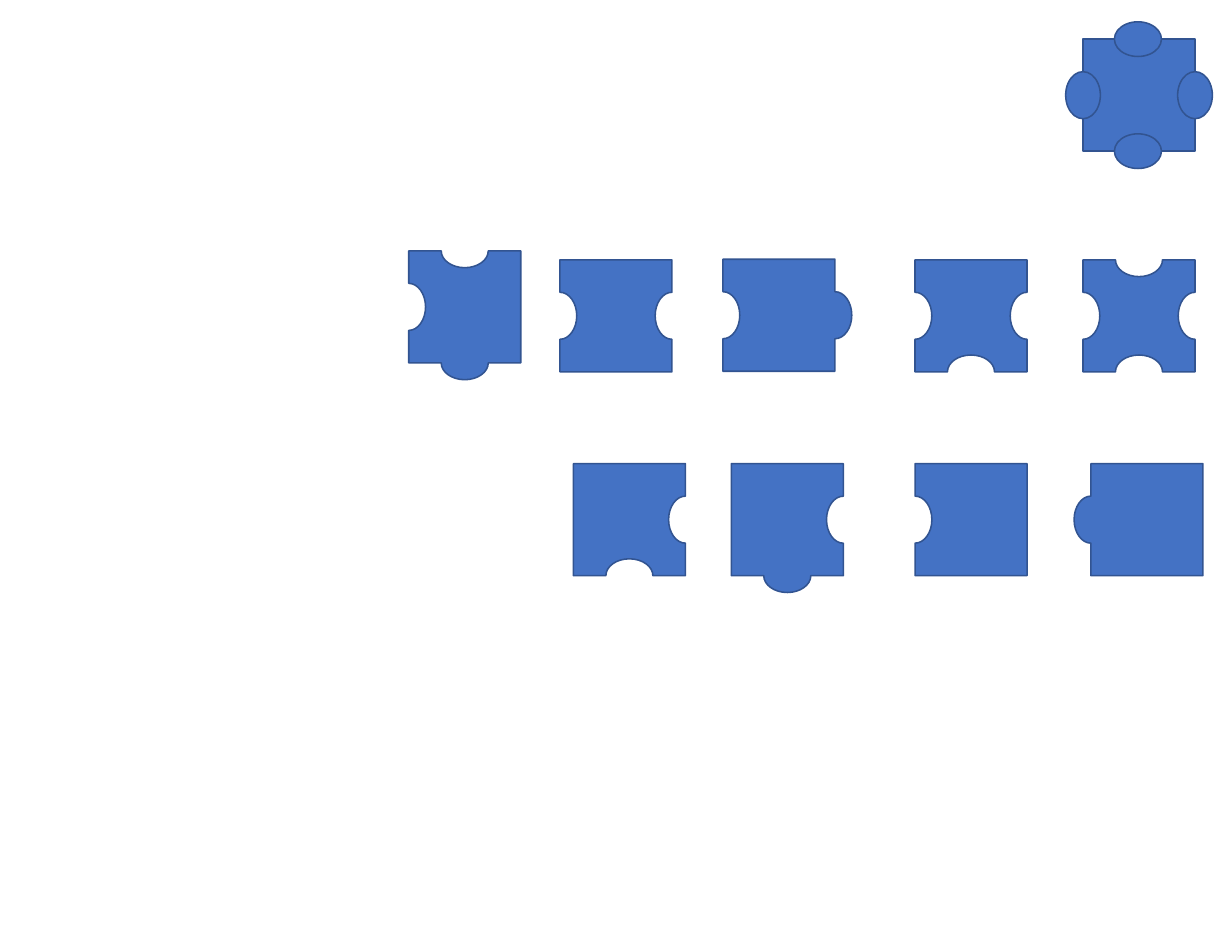
import lxml.etree
import pptx
import pptx.dml.color
import pptx.enum.shapes
import pptx.oxml.ns
import pptx.util
from pptx.util import Inches

COLORS = {"piece": "4472C4", "outline": "325491"}
SIDE = 1
KNOB_WIDTH = 0.42
KNOB_DEPTH = 0.15
BEZIER = 0.55  # control distance for a quarter of an ellipse
DIRECTIONS = [(1, 0), (0, 1), (-1, 0), (0, -1)]  # clockwise from the top edge
FLAT, TAB, HOLE = 0, 1, -1

# left, top, edges in the order top, right, bottom, left, rotation
PIECES = [
    (9.67, 2.32, (HOLE, HOLE, HOLE, HOLE), 0),
    (9.74, 4.14, (FLAT, FLAT, FLAT, TAB), 0),
    (6.53, 2.39, (TAB, FLAT, HOLE, FLAT), 90),
    (8.17, 4.14, (FLAT, FLAT, HOLE, FLAT), 90),
    (8.17, 2.32, (FLAT, HOLE, HOLE, HOLE), 0),
    (5.00, 2.32, (FLAT, HOLE, FLAT, HOLE), 0),
    (3.65, 2.24, (HOLE, FLAT, TAB, HOLE), 0),
    (5.12, 4.14, (FLAT, HOLE, HOLE, FLAT), 0),
    (6.53, 4.14, (FLAT, HOLE, TAB, FLAT), 0),
]


def style(shape):
    shape.shadow.inherit = False
    shape.fill.solid()
    shape.fill.fore_color.rgb = pptx.dml.color.RGBColor.from_string(COLORS["piece"])
    shape.line.color.rgb = pptx.dml.color.RGBColor.from_string(COLORS["outline"])
    shape.line.width = pptx.util.Pt(1)


def edge_profile(edge):
    """Return (distance along, distance outward, is a curve point) for one edge."""
    points = []
    if edge != FLAT:
        half, depth = KNOB_WIDTH / 2, edge * KNOB_DEPTH
        points.append((SIDE / 2 - half, 0, False))
        for across, out in [(-1, BEZIER), (-BEZIER, 1), (0, 1),
                            (BEZIER, 1), (1, BEZIER), (1, 0)]:
            points.append((SIDE / 2 + across * half, out * depth, True))
    return points + [(SIDE, 0, False)]


def bend_curves(shape, curve_flags):
    """Turn each run of three flagged line points into one cubic curve."""
    qn = pptx.oxml.ns.qn
    lines = list(shape.element.iter(qn("a:lnTo")))
    flagged = [line for line, curved in zip(lines, curve_flags) if curved]
    for start in range(0, len(flagged), 3):
        trio = flagged[start:start + 3]
        curve = lxml.etree.Element(qn("a:cubicBezTo"))
        trio[0].addprevious(curve)
        for line in trio:
            curve.append(line[0])
            line.getparent().remove(line)


def add_piece(slide, left, top, edges, rotation):
    x, y = left, top
    points, curve_flags = [], []
    for (dx, dy), edge in zip(DIRECTIONS, edges):
        for along, outward, curved in edge_profile(edge):
            points.append((Inches(x + dx * along + dy * outward),
                           Inches(y + dy * along - dx * outward)))
            curve_flags.append(curved)
        x, y = x + dx * SIDE, y + dy * SIDE
    builder = slide.shapes.build_freeform(Inches(left), Inches(top))
    builder.add_line_segments(points[:-1], close=True)
    piece = builder.convert_to_shape()
    bend_curves(piece, curve_flags)
    piece.rotation = rotation
    style(piece)


def add_knob_template(slide, left, top):
    """Add a grouped square with an oval knob centred on each edge."""
    kinds = pptx.enum.shapes.MSO_SHAPE
    group = slide.shapes.add_group_shape()
    style(group.shapes.add_shape(kinds.RECTANGLE, Inches(left), Inches(top),
                                 Inches(SIDE), Inches(SIDE)))
    width, height = KNOB_WIDTH, 0.31
    for across, down, rotation in [(0.49, 1, 0), (0.49, 0, 0), (0, 0.5, 270), (1, 0.5, 270)]:
        knob = group.shapes.add_shape(
            kinds.OVAL,
            Inches(left + across * SIDE - width / 2),
            Inches(top + down * SIDE - height / 2),
            Inches(width), Inches(height))
        knob.rotation = rotation
        style(knob)


def main():
    deck = pptx.Presentation()
    deck.slide_width, deck.slide_height = Inches(11), Inches(8.5)
    slide = deck.slides.add_slide(deck.slide_layouts[6])
    add_knob_template(slide, 9.67, 0.35)
    for left, top, edges, rotation in PIECES:
        add_piece(slide, left, top, edges, rotation)
    deck.save("out.pptx")


if __name__ == "__main__":
    main()
